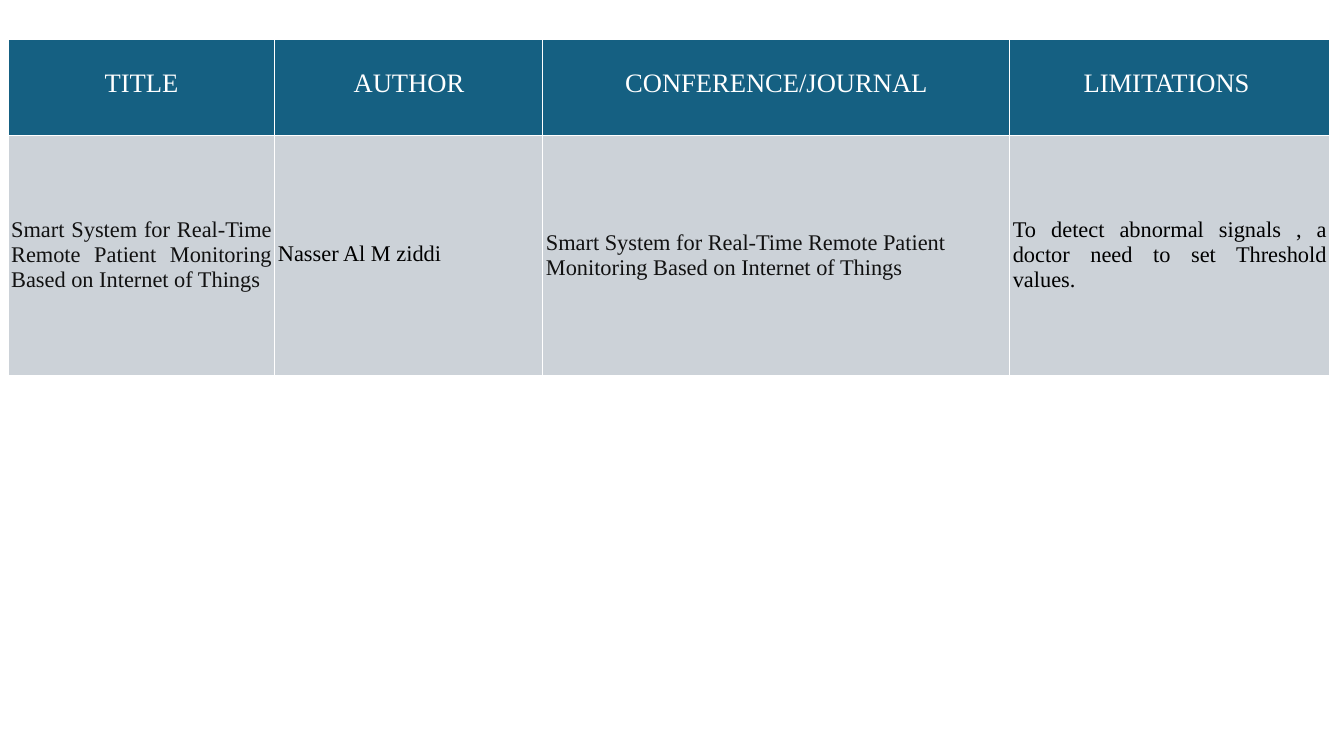
import pptx
import pptx.util
import pptx.dml.color
import pptx.enum.text
import pptx.oxml

Pt = pptx.util.Pt
ALIGN = pptx.enum.text.PP_ALIGN


def color(value):
    return pptx.dml.color.RGBColor.from_string(value)


class Deck:
    font = "Times New Roman"
    border = "FFFFFF"
    margin = 2.2

    def __init__(self, width, height):
        self.prs = pptx.Presentation()
        self.prs.slide_width = Pt(width)
        self.prs.slide_height = Pt(height)
        self.s = self.prs.slides.add_slide(self.prs.slide_layouts[6])

    def table(self, left, top, widths, heights):
        sp = self.s.shapes.add_table(len(heights), len(widths), Pt(left), Pt(top),
                                     Pt(sum(widths)), Pt(sum(heights)))
        tbl = sp.table
        tbl.first_row = False
        tbl.horz_banding = False
        for column, width in zip(tbl.columns, widths):
            column.width = Pt(width)
        for row, height in zip(tbl.rows, heights):
            row.height = Pt(height)
        return tbl

    def borders(self, cell):
        tcPr = cell._tc.get_or_add_tcPr()
        for side in ("lnL", "lnR", "lnT", "lnB"):
            tcPr.append(pptx.oxml.parse_xml(
                f'<a:{side} xmlns:a="http://schemas.openxmlformats.org/drawingml/2006/main" '
                f'w="{Pt(0.75)}"><a:solidFill><a:srgbClr val="{self.border}"/>'
                f'</a:solidFill></a:{side}>'))

    def cell(self, cell, text, size, ink, fill, align, spacing=None):
        self.borders(cell)
        cell.fill.solid()
        cell.fill.fore_color.rgb = color(fill)
        cell.vertical_anchor = pptx.enum.text.MSO_ANCHOR.MIDDLE
        cell.margin_left = cell.margin_right = Pt(self.margin)
        cell.margin_top = cell.margin_bottom = Pt(self.margin)
        p = cell.text_frame.paragraphs[0]
        p.alignment = align
        if spacing:
            p.line_spacing = Pt(spacing)
        r = p.add_run()
        r.text = text
        r.font.name = self.font
        r.font.size = Pt(size)
        r.font.bold = False
        r.font.color.rgb = color(ink)


def main():
    deck = Deck(960, 540)
    tbl = deck.table(5.8, 28.2, [190.6, 191.4, 333.5, 228.7], [68.3, 171.5])
    headings = ["TITLE", "AUTHOR", "CONFERENCE/JOURNAL", "LIMITATIONS "]
    paper = "Smart System for Real-Time Remote Patient Monitoring Based on Internet of Things"
    details = [
        (paper, "111111", ALIGN.JUSTIFY, None),
        ("Nasser Al M ziddi", "000000", ALIGN.JUSTIFY, 15.7),
        (paper, "111111", ALIGN.LEFT, None),
        ("To detect abnormal signals , a doctor need to set Threshold values.",
         "000000", ALIGN.JUSTIFY, None),
    ]
    for i, heading in enumerate(headings):
        deck.cell(tbl.cell(0, i), heading, 19, "FFFFFF", "156082", ALIGN.CENTER, 15.7)
    for i, (text, ink, align, spacing) in enumerate(details):
        deck.cell(tbl.cell(1, i), text, 16, ink, "CCD2D8", align, spacing)
    deck.prs.save("out.pptx")


if __name__ == "__main__":
    main()
